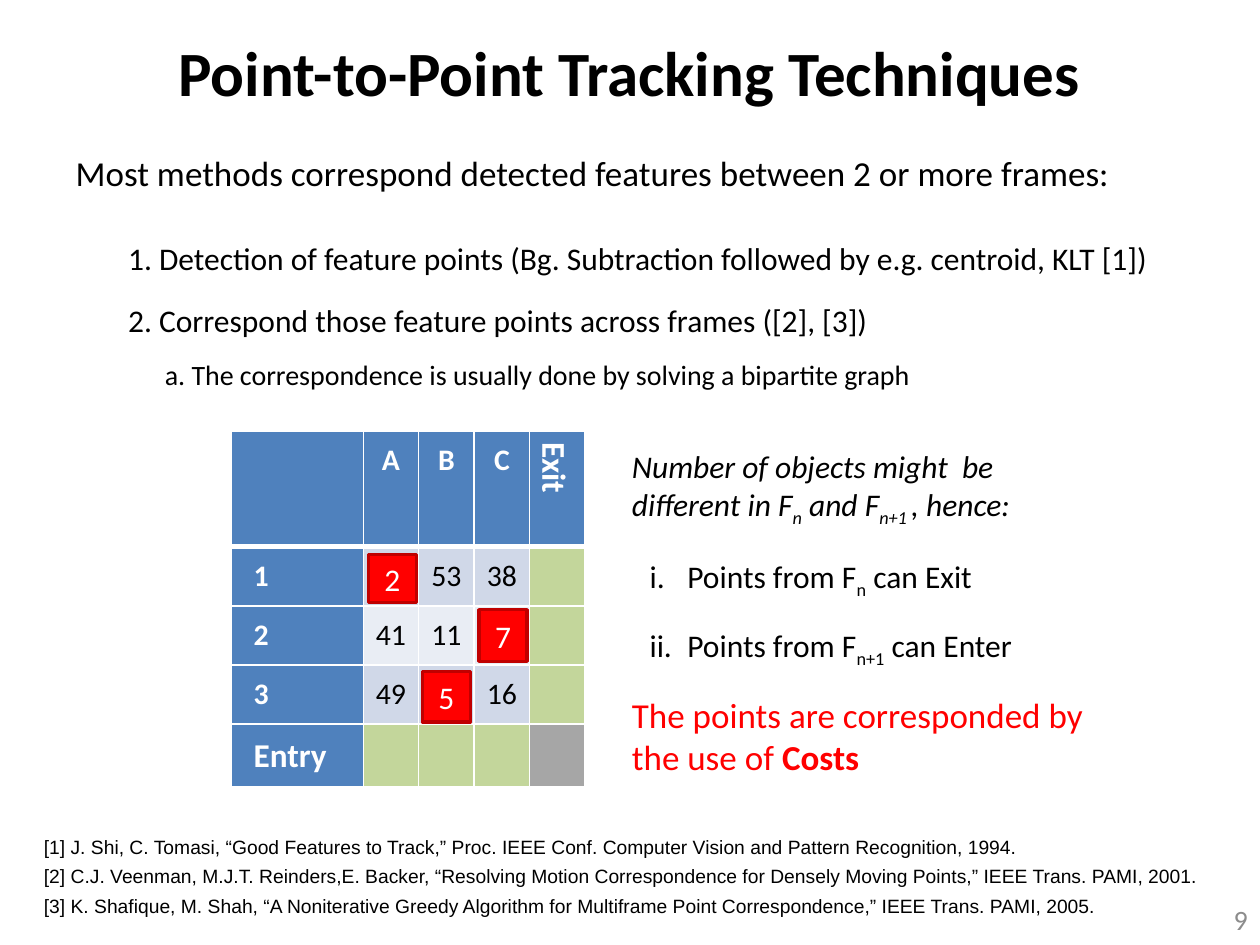
from lxml import etree
from pptx import Presentation
from pptx.dml.color import RGBColor
from pptx.enum.shapes import MSO_SHAPE
from pptx.enum.text import MSO_ANCHOR, MSO_AUTO_SIZE, PP_ALIGN
from pptx.oxml.ns import qn
from pptx.util import Pt

RECTANGLE = MSO_SHAPE.RECTANGLE
TOP, MIDDLE = MSO_ANCHOR.TOP, MSO_ANCHOR.MIDDLE
LEFT, CENTER, RIGHT = PP_ALIGN.LEFT, PP_ALIGN.CENTER, PP_ALIGN.RIGHT
NO_AUTOFIT = MSO_AUTO_SIZE.NONE

BLACK, WHITE, RED, DARK_RED, GREY = "000000", "FFFFFF", "FF0000", "C00000", "8C8C8C"
BLUE, GREEN, MID_GREY = "4F81BD", "C3D69B", "A6A6A6"
BANDS = ["D0D8E8", "E9EDF4"]

# Shared measures of the cost grid
LABEL_WIDTH, COLUMN_WIDTH = 75.6, 31.7
ROW_HEIGHTS = [66.2, 33.8, 33.8, 33.8]
ENTRY_HEIGHT = 36.7
COSTS = [["1", "2", "53", "38"], ["2", "41", "11", "7"], ["3", "49", "5", "16"]]


def rgb(value):
    return RGBColor.from_string(value)


def style_font(font, size, colour, name="Calibri", bold=False, italic=False):
    font.size, font.name = Pt(size), name
    font.bold, font.italic = bold, italic
    font.color.rgb = rgb(colour)


def write(para, pieces, size, colour=BLACK, name="Calibri", italic=False):
    """Fill a paragraph from (text, trait) pairs; trait is "", "sub" or "bold"."""
    for text, trait in pieces:
        span = para.add_run()
        span.text = text
        style_font(span.font, size, colour, name, trait == "bold", italic)
        if trait == "sub":
            span.font._element.set("baseline", "-25000")


def set_bullet(para, indent, hanging=0, numbering=None):
    properties = para._p.get_or_add_pPr()
    properties.set("marL", str(Pt(indent)))
    properties.set("indent", str(Pt(-hanging)))
    if numbering:
        etree.SubElement(properties, qn("a:buAutoNum"), type=numbering)
    else:
        etree.SubElement(properties, qn("a:buNone"))


def place(shape, left, top, width, height):
    shape.left, shape.top = Pt(left), Pt(top)
    shape.width, shape.height = Pt(width), Pt(height)


def add_text_frame(page, left, top, width, height):
    box = page.shapes.add_textbox(Pt(left), Pt(top), Pt(width), Pt(height))
    box.text_frame.word_wrap = True
    return box.text_frame


def add_title(page, left, top, width, height):
    title = page.shapes.title
    place(title, left, top, width, height)
    frame = title.text_frame
    frame.word_wrap, frame.auto_size = False, NO_AUTOFIT
    write(frame.paragraphs[0], [("Point-to-Point Tracking Techniques", "bold")], 36)


def add_outline(page, left, top, width, height):
    body = page.placeholders[1]
    place(body, left, top, width, height)
    frame = body.text_frame
    frame.auto_size = NO_AUTOFIT
    # Text, size, indent, space before
    lines = [
        ("Most methods correspond detected features between 2 or more frames:", 20, 0, 0),
        ("1. Detection of feature points (Bg. Subtraction followed by e.g. centroid, KLT [1])",
         18, 30, 26),
        ("2. Correspond those feature points across frames ([2], [3])", 18, 30, 14),
        ("a. The correspondence is usually done by solving a bipartite graph", 16, 51, 10.5),
    ]
    for index, (text, size, indent, before) in enumerate(lines):
        para = frame.add_paragraph() if index else frame.paragraphs[0]
        set_bullet(para, indent)
        para.space_before = Pt(before)
        write(para, [(text, "")], size)


def style_cell(cell, fill, text="", size=17, colour=WHITE, bold=True,
               align=LEFT, anchor=TOP, side=6.5, bottom=1):
    properties = cell._tc.get_or_add_tcPr()
    for edge, width in (("L", 1), ("R", 1), ("T", 1), ("B", bottom)):
        line = etree.SubElement(properties, qn("a:ln" + edge), w=str(Pt(width)))
        solid = etree.SubElement(line, qn("a:solidFill"))
        etree.SubElement(solid, qn("a:srgbClr"), val=WHITE)
    cell.fill.solid()
    cell.fill.fore_color.rgb = rgb(fill)
    cell.margin_left = cell.margin_right = Pt(side)
    cell.margin_top = cell.margin_bottom = Pt(6.5)
    cell.vertical_anchor = anchor
    para = cell.text_frame.paragraphs[0]
    para.text, para.alignment = text, align
    style_font(para.font, size, colour, bold=bold)


def add_plain_table(page, left, top, widths, heights):
    frame = page.shapes.add_table(len(heights), len(widths), Pt(left), Pt(top),
                                  Pt(sum(widths)), Pt(sum(heights)))
    table = frame.table
    table.first_row = table.horz_banding = False
    for column, width in zip(table.columns, widths):
        column.width = Pt(width)
    for row, height in zip(table.rows, heights):
        row.height = Pt(height)
    return table


def add_cost_table(page, left, top):
    table = add_plain_table(page, left, top, [LABEL_WIDTH] + [COLUMN_WIDTH] * 3, ROW_HEIGHTS)
    for column, text in enumerate(["", "A", "B", "C"]):
        style_cell(table.cell(0, column), BLUE, text, align=CENTER, bottom=3)
    for row, (label, *costs) in enumerate(COSTS, start=1):
        style_cell(table.cell(row, 0), BLUE, label, side=13)
        for column, cost in enumerate(costs, start=1):
            style_cell(table.cell(row, column), BANDS[(row - 1) % 2], cost,
                       colour=BLACK, bold=False, align=CENTER, anchor=MIDDLE)


def add_entry_row(page, left, top):
    table = add_plain_table(page, left, top, [LABEL_WIDTH] + [COLUMN_WIDTH] * 4, [ENTRY_HEIGHT])
    style_cell(table.cell(0, 0), BLUE, "Entry", size=19, side=13, bottom=3)
    for column, fill in enumerate([GREEN] * 3 + [MID_GREY], start=1):
        style_cell(table.cell(0, column), fill, bottom=3)


def add_exit_column(page, left, top):
    table = add_plain_table(page, left, top, [COLUMN_WIDTH], ROW_HEIGHTS)
    header = table.cell(0, 0)
    style_cell(header, BLUE, "Exit", size=19, anchor=MIDDLE, bottom=3)
    header._tc.tcPr.set("vert", "vert")
    for row in range(1, len(ROW_HEIGHTS)):
        style_cell(table.cell(row, 0), GREEN)


def add_match(page, text, left, top, width, height):
    box = page.shapes.add_shape(RECTANGLE, Pt(left), Pt(top), Pt(width), Pt(height))
    box.shadow.inherit = False
    box.fill.solid()
    box.fill.fore_color.rgb = rgb(RED)
    box.line.color.rgb, box.line.width = rgb(DARK_RED), Pt(2)
    frame = box.text_frame
    frame.vertical_anchor = MIDDLE
    frame.paragraphs[0].alignment = CENTER
    write(frame.paragraphs[0], [(text, "")], 18, WHITE)


def add_cost_grid(page, left, top):
    add_cost_table(page, left, top)
    add_entry_row(page, left, top + sum(ROW_HEIGHTS))
    add_exit_column(page, left + LABEL_WIDTH + 3 * COLUMN_WIDTH, top)
    # Lowest-cost matches
    for text, x, y, height in [("2", 78.5, 70.6, 27.4), ("7", 141.8, 102.2, 29.5),
                               ("5", 109.4, 137.5, 28.8)]:
        add_match(page, text, left + x, top + y, 27.4, height)


def add_remarks(page, left, top, width):
    # Premise
    para = add_text_frame(page, left, top, width, 51).paragraphs[0]
    write(para, [("Number of objects might  be different in F", ""), ("n", "sub"),
                 (" and F", ""), ("n+1 ", "sub"), (", hence:", "")], 18, italic=True)
    # Numbered cases
    frame = add_text_frame(page, left, top + 62.6, width, 67)
    for index, (subscript, action) in enumerate([("n", "Exit"), ("n+1", "Enter")]):
        para = frame.add_paragraph() if index else frame.paragraphs[0]
        set_bullet(para, 31.7, 21.6, "romanLcPeriod")
        para.space_before = Pt(15 * index)
        write(para, [("Points from F", ""), (subscript, "sub"), (" can " + action, "")], 18)
    # Conclusion
    para = add_text_frame(page, left, top + 141, width + 6, 55.5).paragraphs[0]
    write(para, [("The points are corresponded by the use of ", ""), ("Costs", "bold")], 20, RED)


def add_references(page, left, top, width, height):
    frame = add_text_frame(page, left, top, width, height)
    references = [
        "[1] J. Shi, C. Tomasi, “Good Features to Track,” Proc. IEEE Conf. Computer Vision and "
        "Pattern Recognition, 1994.",
        "[2] C.J. Veenman, M.J.T. Reinders,E. Backer, “Resolving Motion Correspondence for "
        "Densely Moving Points,” IEEE Trans. PAMI, 2001.",
        "[3] K. Shafique, M. Shah, “A Noniterative Greedy Algorithm for Multiframe Point "
        "Correspondence,” IEEE Trans. PAMI, 2005.",
    ]
    for index, text in enumerate(references):
        para = frame.add_paragraph() if index else frame.paragraphs[0]
        para.space_after = Pt(3.5)
        write(para, [(text, "")], 11, name="Arial")


def add_page_number(page, left, top, width, height):
    frame = add_text_frame(page, left, top, width, height)
    frame.vertical_anchor = MIDDLE
    frame.paragraphs[0].alignment = RIGHT
    write(frame.paragraphs[0], [("9", "")], 16, GREY)


def main():
    deck = Presentation()
    deck.slide_width, deck.slide_height = Pt(720), Pt(540)
    page = deck.slides.add_slide(deck.slide_layouts[1])
    add_title(page, 91.4, 15, 536.4, 51)
    add_outline(page, 36, 82.8, 660, 145)
    add_cost_grid(page, 132, 246.2)
    add_remarks(page, 354, 252, 270)
    add_references(page, 18, 473.8, 690, 53)
    add_page_number(page, 552, 511, 168, 29)
    deck.save("out.pptx")


if __name__ == "__main__":
    main()
